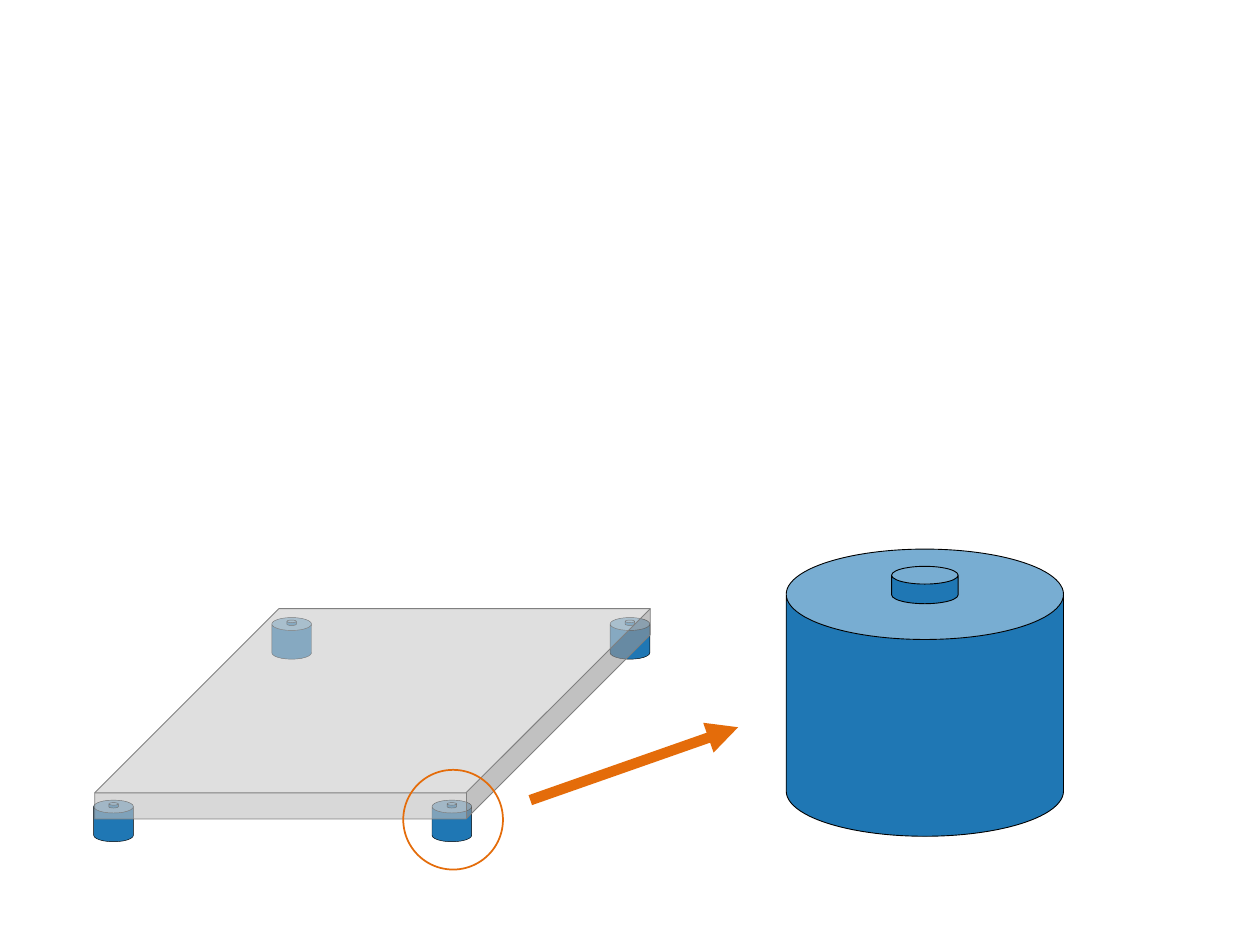
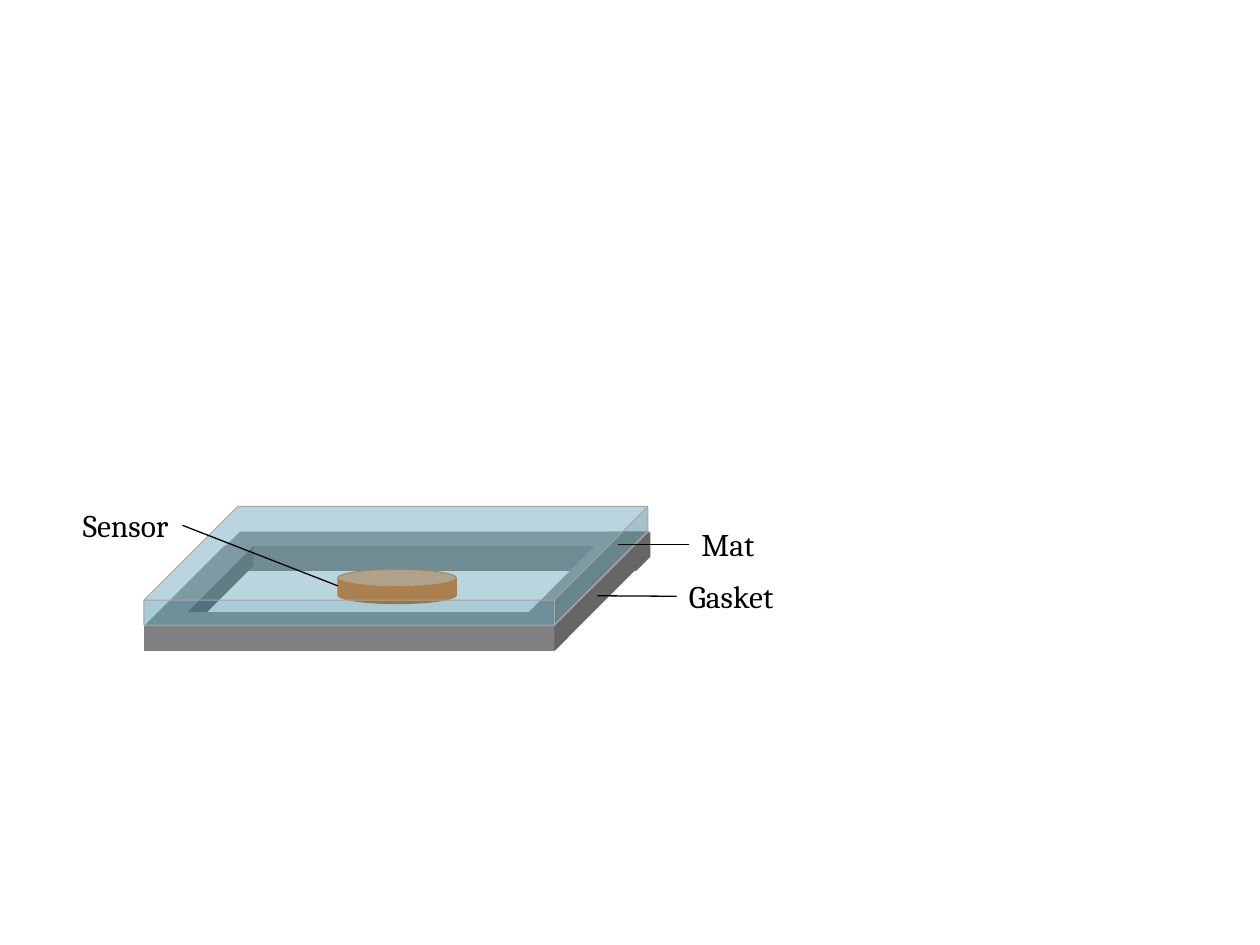
import pptx
import pptx.util
import pptx.dml.color
import pptx.enum.shapes
import pptx.enum.text
import pptx.oxml.ns
import lxml.etree

Cm = pptx.util.Cm
Pt = pptx.util.Pt
RGBColor = pptx.dml.color.RGBColor
Kind = pptx.enum.shapes.MSO_SHAPE
Straight = pptx.enum.shapes.MSO_CONNECTOR.STRAIGHT
qn = pptx.oxml.ns.qn

BLACK = RGBColor(0x00, 0x00, 0x00)
BLUE = RGBColor(0x1F, 0x77, 0xB4)
ORANGE = RGBColor(0xE4, 0x6C, 0x0A)
GRAY = RGBColor(0x80, 0x80, 0x80)
SILVER = RGBColor(0xBF, 0xBF, 0xBF)
EDGE = RGBColor(0xA6, 0xA6, 0xA6)
TEAL = RGBColor(0x31, 0x85, 0x9C)


def solid(tree, kind, box, adj=None, fill=None, alpha=None, line=None, width=0.5):
    shape = tree.add_shape(kind, *map(Cm, box))
    shape.shadow.inherit = False
    if adj:
        shape.adjustments[0] = adj
    if fill:
        shape.fill.solid()
        shape.fill.fore_color.rgb = fill
    else:
        shape.fill.background()
    if alpha:
        tint = shape.fill._xPr.find(qn("a:solidFill"))[0]
        lxml.etree.SubElement(tint, qn("a:alpha"), val=str(alpha * 1000))
    if line:
        shape.line.color.rgb = line
        shape.line.width = Pt(width)
    else:
        shape.line.fill.background()
    return shape


def link(tree, ends, color, width):
    line = tree.add_connector(Straight, *map(Cm, ends))
    line.line.color.rgb = color
    line.line.width = Pt(width)
    lxml.etree.SubElement(line._element.spPr, qn("a:effectLst"))
    return line


deck = pptx.Presentation()
deck.slide_width = Cm(25.4)
deck.slide_height = Cm(19.05)
blank = deck.slide_layouts[6]

tree = deck.slides.add_slide(blank).shapes
small = (0.8, 0.84, 0.25)
feet = [(x + step, y, *small) for x, y in [(5.48, 12.45), (1.89, 16.13)] for step in (0, 6.82)]
feet.insert(2, (15.85, 11.07, 5.59, 5.79, 0.5))
for x, y, wide, high, width in feet:
    foot = tree.add_group_shape().shapes
    knob = (x + 0.38 * wide, y + 0.06 * high, 0.24 * wide, 0.13 * high)
    for box, adj in [((x, y, wide, high), 0.326), (knob, 0.475)]:
        solid(foot, Kind.CAN, box, adj, BLUE, line=BLACK, width=width)
solid(tree, Kind.CUBE, (1.91, 12.27, 11.2, 4.24), 0.876, SILVER, 60, GRAY)
arrow = link(tree, (10.69, 16.13, 14.88, 14.66), ORANGE, 6)
lxml.etree.SubElement(arrow.line._get_or_add_ln(), qn("a:tailEnd"), type="triangle")
solid(tree, Kind.OVAL, (8.13, 15.52, 2.01, 2.01), line=ORANGE, width=1)

tree = deck.slides.add_slide(blank).shapes
solid(tree, Kind.CUBE, (4.55, 10.72, 8.56, 0.79), 0.362, GRAY)
solid(tree, Kind.CAN, (6.81, 11.48, 2.39, 0.69), 0.5, ORANGE, line=ORANGE)
for box, adj in [
    ((10.39, 10.72, 2.69, 2.39), 0.791),
    ((3.18, 11.0, 1.93, 1.75), 0.769),
    ((2.9, 12.34, 8.56, 0.79), 0.362),
]:
    solid(tree, Kind.CUBE, box, adj, GRAY)
solid(tree, Kind.CUBE, (2.9, 10.21, 10.16, 2.39), 0.791, TEAL, 42, EDGE)

frame = {"word_wrap": False, "auto_size": pptx.enum.text.MSO_AUTO_SIZE.SHAPE_TO_FIT_TEXT}
style = {"name": "Cambria", "size": Pt(18)}
for text, x, y, wide, side, tip in [
    ("Mat", 13.89, 10.46, 1.57, 1, (12.45, 10.97)),
    ("Sensor", 1.42, 10.08, 2.26, 3, (6.81, 11.81)),
    ("Gasket", 13.64, 11.51, 2.29, 1, (12.04, 12.01)),
]:
    label = tree.add_textbox(Cm(x), Cm(y), Cm(wide), Cm(1.02))
    for key, value in frame.items():
        setattr(label.text_frame, key, value)
    run = label.text_frame.paragraphs[0].add_run()
    run.text = text
    for key, value in style.items():
        setattr(run.font, key, value)
    run.font.color.rgb = BLACK
    link(tree, (x, y, *tip), BLACK, 0.75).begin_connect(label, side)

deck.save("out.pptx")
